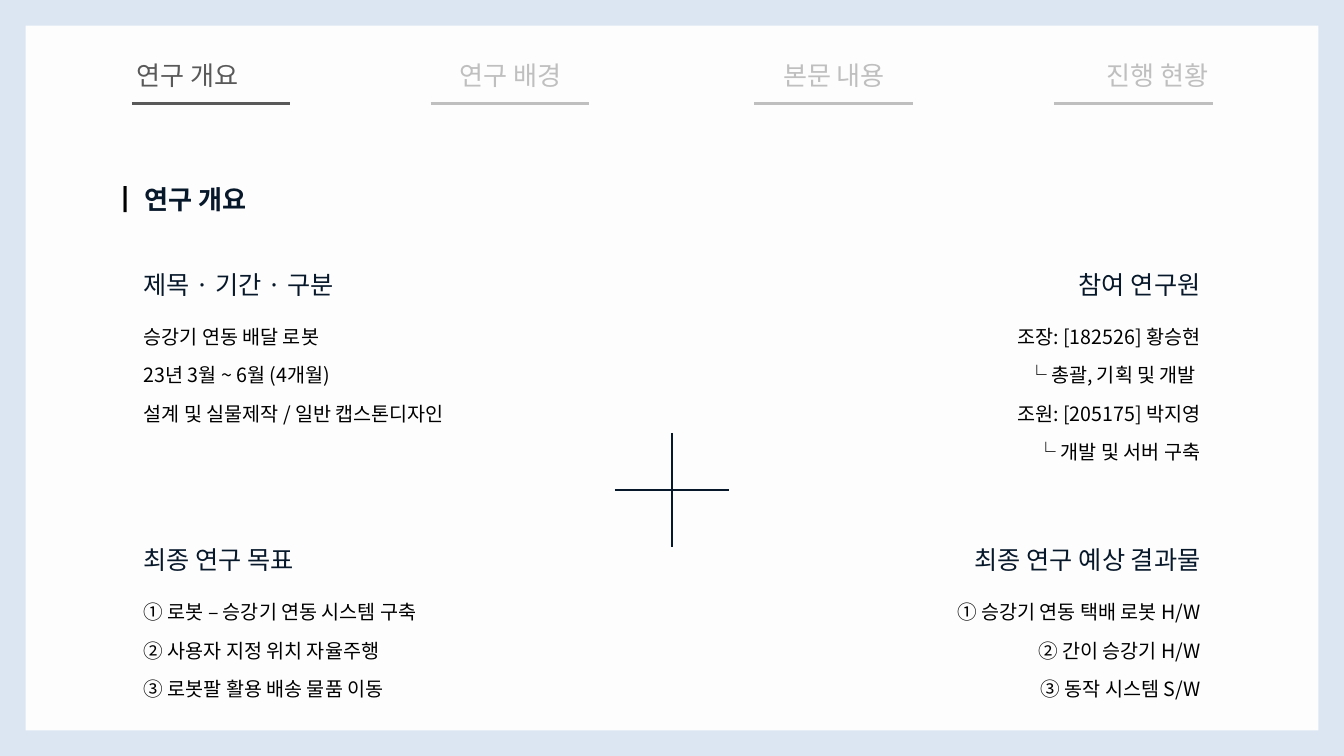
"""Build the research overview slide with its tab bar and four panels."""
from dataclasses import dataclass

from lxml.etree import SubElement
from pptx import Presentation
from pptx.dml.color import RGBColor
from pptx.enum.shapes import MSO_CONNECTOR as Link, MSO_SHAPE as Shape
from pptx.enum.text import MSO_ANCHOR as Anchor, MSO_AUTO_SIZE as Fit, PP_ALIGN as Align
from pptx.oxml.ns import qn
from pptx.util import Cm, Pt

FACE = "Noto Sans CJK KR"
NAVY = RGBColor(0x08, 0x18, 0x2B)
BLACK = RGBColor(0, 0, 0)
DARK = RGBColor(0x59, 0x59, 0x59)
PALE = RGBColor(0xBF, 0xBF, 0xBF)
BLUE = RGBColor(0xDC, 0xE6, 0xF2)
PAPER = RGBColor(0xFD, 0xFD, 0xFD)

WIDE, HIGH = 50.8, 28.58
LEFT, RIGHT = 5.18, 45.62
TAB_X, TAB_Y, TAB_W, TAB_STEP = 2.82, 2.11, 8.53, 12.22
RULE_Y, RULE_W = 3.91, 6
MID_X, MID_Y, ARM = 25.4, 18.52, 2.16

HEAD = {"size": Pt(27), "color": NAVY}
BODY = {"size": Pt(21), "color": BLACK}
TAB = {"size": Pt(28)}
TITLE = {"size": Pt(28), "bold": True}
LOOSE = {"line_spacing": 1.5}
LIST = {"line_spacing": 1.5, "space_before": Pt(3.5)}


@dataclass
class Box:
    wide: float
    high: float
    lines: tuple


@dataclass
class Panel:
    right: bool
    top: float
    gap: float
    head: Box
    body: Box


@dataclass
class Tab:
    text: str
    rule: float
    color: RGBColor


TABS = (
    Tab("연구 개요", 4.98, DARK),
    Tab("연구 배경", 16.28, PALE),
    Tab("본문 내용", 28.5, PALE),
    Tab("진행 현황", 39.83, PALE),
)

PANELS = (
    Panel(False, 9.5, 2.21, Box(10.46, 3.53, ("제목 · 기간 · 구분",)),
          Box(14.94, 4.42, ("승강기 연동 배달 로봇", "23년 3월 ~ 6월 (4개월)",
                            "설계 및 실물제작 / 일반 캡스톤디자인"))),
    Panel(False, 19.89, 2.23, Box(9.19, 1.8, ("최종 연구 목표",)),
          Box(14.07, 4.42, ("① 로봇 – 승강기 연동 시스템 구축", "② 사용자 지정 위치 자율주행",
                            "③ 로봇팔 활용 배송 물품 이동"))),
    Panel(True, 9.5, 2.21, Box(7.37, 1.8, ("참여 연구원",)),
          Box(14.07, 5.92, ("조장: [182526] 황승현", "└ 총괄, 기획 및 개발 ",
                            "조원: [205175] 박지영", "└ 개발 및 서버 구축"))),
    Panel(True, 19.89, 2.23, Box(12.6, 1.8, ("최종 연구 예상 결과물",)),
          Box(14.07, 5.92, ("① 승강기 연동 택배 로봇 H/W", "② 간이 승강기 H/W",
                            "③ 동작 시스템 S/W"))),
)


def apply(item, form: dict) -> None:
    """Set each format value on the item."""
    for key, value in form.items():
        setattr(item, key, value)


def add_run(para, text: str, form: dict) -> None:
    """Add a run with its face, size and colour."""
    run = para.add_run()
    run.text = text
    font = run.font
    font.name = FACE
    apply(font, {key: val for key, val in form.items() if key != "color"})
    font.color.rgb = form["color"]
    SubElement(run._r.get_or_add_rPr(), qn("a:ea"), typeface=FACE)


def add_text(slide, x: float, y: float, box: Box, form: dict, para_form: dict) -> None:
    """Add a text box with one paragraph per line."""
    frame = slide.shapes.add_textbox(Cm(x), Cm(y), Cm(box.wide), Cm(box.high)).text_frame
    frame.word_wrap = True
    for i, line in enumerate(box.lines):
        para = frame.add_paragraph() if i else frame.paragraphs[0]
        apply(para, para_form)
        if not i:
            para.space_before = Pt(0)
        add_run(para, line, form)


def add_line(slide, x: float, y: float, end_x: float, end_y: float,
             color: RGBColor, width: float) -> None:
    """Add a straight line without shadow."""
    line = slide.shapes.add_connector(Link.STRAIGHT, Cm(x), Cm(y), Cm(end_x), Cm(end_y))
    line.line.color.rgb = color
    line.line.width = Pt(width)
    SubElement(line._element.spPr, qn("a:effectLst"))


def add_title(slide) -> None:
    """Place and fill the title."""
    title = slide.shapes.title
    apply(title, {"left": Cm(3.99), "top": Cm(6.2), "width": Cm(19.05), "height": Cm(1.85)})
    frame = title.text_frame
    apply(frame, {"word_wrap": True, "auto_size": Fit.NONE, "vertical_anchor": Anchor.TOP})
    para = frame.paragraphs[0]
    apply(para, {"alignment": Align.LEFT, "space_before": Pt(0), **LOOSE})
    add_run(para, "┃ ", {**TITLE, "color": BLACK})
    add_run(para, "연구 개요", {**TITLE, "color": NAVY})


def add_panel(slide, panel: Panel) -> None:
    """Add a heading with its list, held to the left or right edge."""
    side = {"alignment": Align.RIGHT if panel.right else Align.LEFT}
    parts = ((panel.head, panel.top, HEAD, LOOSE),
             (panel.body, panel.top + panel.gap, BODY, LIST))
    for box, y, form, para_form in parts:
        x = RIGHT - box.wide if panel.right else LEFT
        add_text(slide, x, y, box, form, {**side, **para_form})


def add_tab(slide, i: int, tab: Tab) -> None:
    """Add a tab label and the rule below it."""
    add_text(slide, TAB_X + i * TAB_STEP, TAB_Y, Box(TAB_W, 1.45, (tab.text,)),
             {**TAB, "color": tab.color}, {"alignment": Align.CENTER})
    add_line(slide, tab.rule, RULE_Y, tab.rule + RULE_W, RULE_Y, tab.color, 3)


def add_frame(slide) -> None:
    """Add the border around the slide."""
    frame = slide.shapes.add_shape(Shape.FRAME, 0, 0, Cm(WIDE), Cm(HIGH))
    frame.adjustments[0] = 0.034
    frame.shadow.inherit = False
    frame.fill.solid()
    frame.fill.fore_color.rgb = BLUE
    frame.line.fill.background()


def main() -> None:
    """Build and save the slide."""
    deck = Presentation()
    apply(deck, {"slide_width": Cm(WIDE), "slide_height": Cm(HIGH)})
    slide = deck.slides.add_slide(deck.slide_layouts[5])
    fill = slide.background.fill
    fill.solid()
    fill.fore_color.rgb = PAPER
    add_title(slide)
    add_line(slide, MID_X - ARM, MID_Y, MID_X + ARM, MID_Y, NAVY, 2.25)
    add_line(slide, MID_X, MID_Y - ARM, MID_X, MID_Y + ARM, NAVY, 2.25)
    for panel in PANELS:
        add_panel(slide, panel)
    for i, tab in enumerate(TABS):
        add_tab(slide, i, tab)
    add_frame(slide)
    deck.save("out.pptx")


if __name__ == "__main__":
    main()
